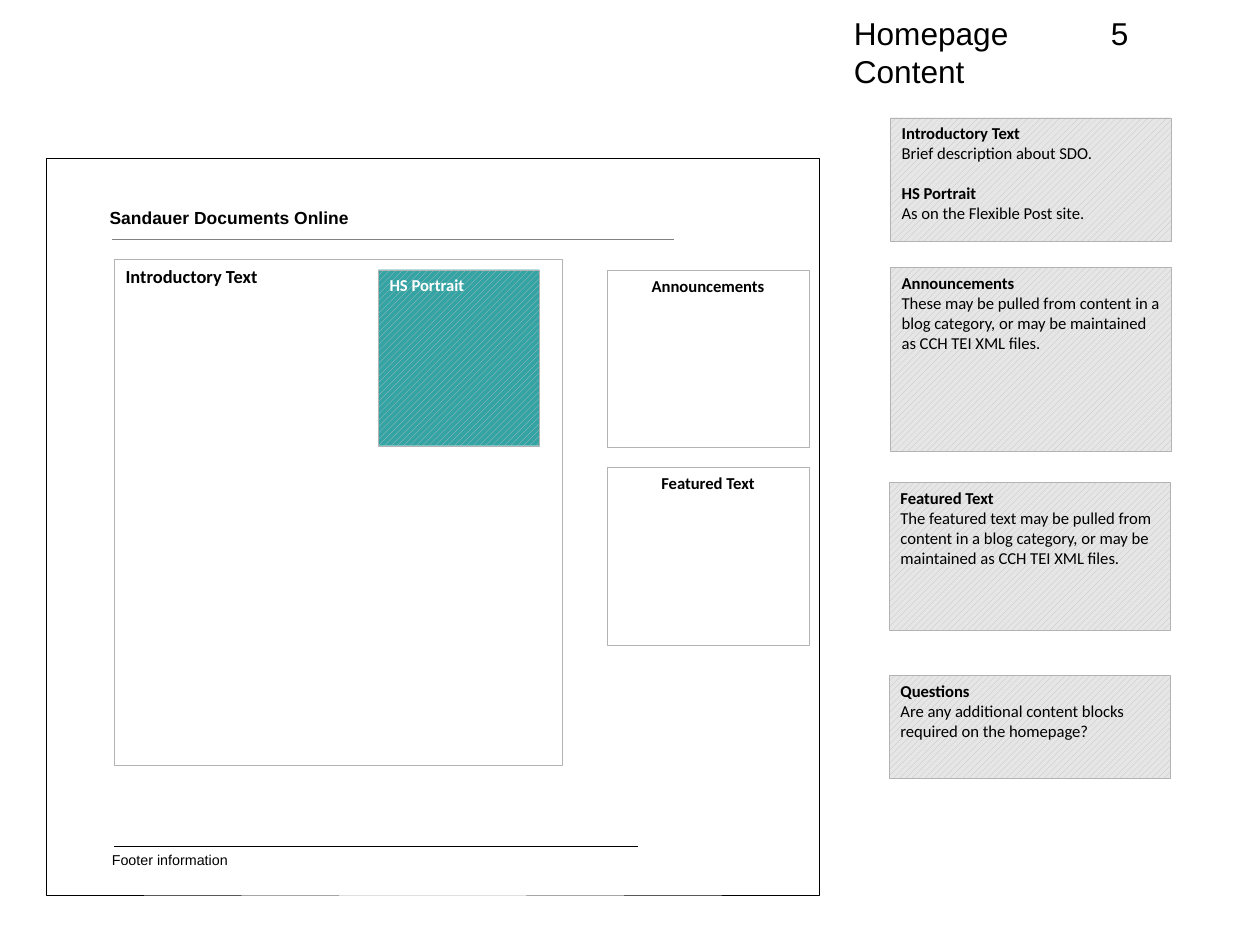
from lxml import etree
from pptx import Presentation
from pptx.dml.color import RGBColor
from pptx.enum.dml import MSO_PATTERN
from pptx.enum.shapes import MSO_CONNECTOR, MSO_SHAPE
from pptx.enum.text import MSO_ANCHOR, MSO_AUTO_SIZE, PP_ALIGN
from pptx.oxml.ns import qn
from pptx.util import Inches, Pt

RECTANGLE = MSO_SHAPE.RECTANGLE
STRAIGHT = MSO_CONNECTOR.STRAIGHT
STRIPES = MSO_PATTERN.WIDE_UPWARD_DIAGONAL
LEFT, CENTER = PP_ALIGN.LEFT, PP_ALIGN.CENTER
TOP = MSO_ANCHOR.TOP
FIXED = MSO_AUTO_SIZE.NONE
HAIRLINE = Pt(0.1)

COLORS = {
    "black": "000000",
    "white": "FFFFFF",
    "rule": "808080",
    "border": "B3B3B3",
    "stripe": "C0C0C0",
    "note": "E6E6E6",
    "portrait": "33A3A3",
}


def write(box, lines, size, font, color="black", bold_lines=(), align=LEFT):
    frame = box.text_frame
    frame.text = "\n".join(lines)
    frame.word_wrap = True
    frame.auto_size = FIXED
    frame.vertical_anchor = TOP
    for index, para in enumerate(frame.paragraphs):
        para.alignment = align
        for span in para.runs:
            span.font.size = Pt(size)
            span.font.name = font
            span.font.bold = index in bold_lines
            span.font.color.rgb = RGBColor.from_string(COLORS[color])


def add_block(page, area, border="border", back=None):
    box = page.shapes.add_shape(RECTANGLE, *map(Inches, area))
    box.shadow.inherit = False
    box.line.width = HAIRLINE
    box.line.color.rgb = RGBColor.from_string(COLORS[border])
    if back:
        box.fill.patterned()
        box.fill.pattern = STRIPES
        box.fill.fore_color.rgb = RGBColor.from_string(COLORS["stripe"])
        box.fill.back_color.rgb = RGBColor.from_string(COLORS[back])
    else:
        box.fill.background()
    return box


deck = Presentation()
deck.slide_width = Inches(28 / 2.54)
deck.slide_height = Inches(21 / 2.54)
page = deck.slides.add_slide(deck.slide_layouts[5])

title = page.shapes.title
title.left, title.top = Inches(7.37), Inches(0.07)
title.width, title.height = Inches(3.56), Inches(0.79)
write(title, ["Homepage", "Content"], 19.9, "Arial")

add_block(page, (0.4, 1.38, 6.77, 6.45), "black")

labels = [
    ("5", (9.62, 0.07, 1.4, 0.52), 19.9, ()),
    ("Sandauer Documents Online", (0.86, 1.76, 4.72, 0.33), 11, (0,)),
    ("Footer information", (0.88, 7.4, 3.18, 0.33), 9, ()),
]
for text, area, size, bold_lines in labels:
    label = page.shapes.add_textbox(*map(Inches, area))
    write(label, [text], size, "Arial", bold_lines=bold_lines)

for start, end, level, color in [(0.98, 5.9, 2.09, "rule"), (1, 5.58, 7.4, "black")]:
    rule = page.shapes.add_connector(
        STRAIGHT, Inches(start), Inches(level), Inches(end), Inches(level))
    rule.line.width = HAIRLINE
    rule.line.color.rgb = RGBColor.from_string(COLORS[color])
    etree.SubElement(rule._element.spPr, qn("a:effectLst"))

introduction = add_block(page, (1, 2.27, 3.92, 4.42))
write(introduction, ["Introductory Text"], 11.6, "Calibri", bold_lines=(0,))

portrait = add_block(page, (3.31, 2.36, 1.41, 1.54), back="portrait")
write(portrait, ["HS Portrait"], 10.5, "Calibri", "white", (0,))

for heading, top in [("Announcements", 2.36), ("Featured Text", 4.09)]:
    panel = add_block(page, (5.31, top, 1.77, 1.55))
    write(panel, [heading], 10.5, "Calibri", bold_lines=(0,), align=CENTER)
    para = panel.text_frame.paragraphs[0]
    para.space_before, para.space_after = Pt(2.8), Pt(13.4)

notes = [
    (7.79, 1.03, 1.08, [
        "Introductory Text", "Brief description about SDO.",
        "HS Portrait", "As on the Flexible Post site."]),
    (7.79, 2.34, 1.61, [
        "Announcements",
        "These may be pulled from content in a blog category, "
        "or may be maintained as CCH TEI XML files."]),
    (7.78, 4.22, 1.29, [
        "Featured Text",
        "The featured text may be pulled from content in a blog category, "
        "or may be maintained as CCH TEI XML files."]),
    (7.78, 5.91, 0.9, [
        "Questions",
        "Are any additional content blocks required on the homepage?"]),
]
for left, top, height, lines in notes:
    note = add_block(page, (left, top, 2.46, height), back="note")
    write(note, lines, 10.5, "Calibri", bold_lines=(0, 2))
    for para in note.text_frame.paragraphs[2::2]:
        para.space_before = Pt(12.6)

deck.save("out.pptx")
